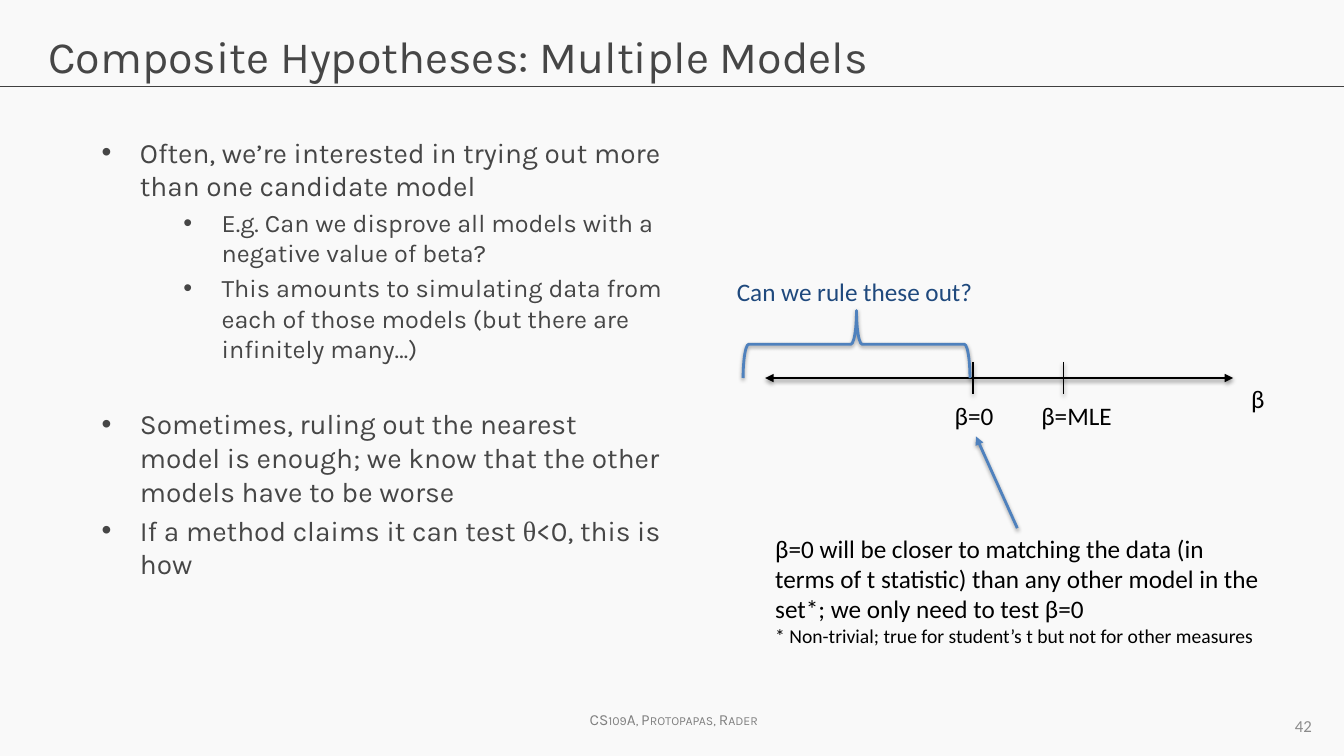
from lxml import etree
from pptx import Presentation
from pptx.dml.color import RGBColor
from pptx.enum.shapes import MSO_CONNECTOR, MSO_SHAPE
from pptx.enum.text import MSO_ANCHOR, PP_ALIGN
from pptx.oxml.ns import qn
from pptx.util import Inches, Pt

STRAIGHT = MSO_CONNECTOR.STRAIGHT
BRACE = MSO_SHAPE.RIGHT_BRACE
TOP, MIDDLE = MSO_ANCHOR.TOP, MSO_ANCHOR.MIDDLE
LEFT, RIGHT = PP_ALIGN.LEFT, PP_ALIGN.RIGHT

COLORS = {
    "background": "F9F9F9", "rule": "404040", "heading": "464646",
    "footer": "808080", "number": "8C8C8C", "ink": "000000",
    "blue": "4F81BD", "navy": "1F497D",
}


def color(name):
    return RGBColor.from_string(COLORS[name])


class SlideBuilder:
    heading_font = "Karla"
    label_font = "Calibri"

    def __init__(self, prs):
        self.s = prs.slides.add_slide(prs.slide_layouts[6])
        fill = self.s.background.fill
        fill.solid()
        fill.fore_color.rgb = color("background")

    def style(self, r, size, ink, font):
        r.font.size = Pt(size)
        r.font.name = font
        r.font.color.rgb = color(ink)

    def frame(self, x, y, w, h, anchor=TOP):
        tf = self.s.shapes.add_textbox(Inches(x), Inches(y), Inches(w), Inches(h)).text_frame
        tf.word_wrap = True
        tf.vertical_anchor = anchor
        return tf

    def text(self, x, y, w, h, lines, ink="ink", font=label_font, align=LEFT, anchor=TOP):
        tf = self.frame(x, y, w, h, anchor)
        tf.text = "\n".join(line for line, size in lines)
        for p, (line, size) in zip(tf.paragraphs, lines):
            p.alignment = align
            self.style(p.runs[0], size, ink, font)
        return tf

    def bullets(self, x, y, w, h, items):
        tf = self.frame(x, y, w, h)
        for i, (indent, size, before, parts) in enumerate(items):
            p = tf.add_paragraph() if i else tf.paragraphs[0]
            pPr = p._p.get_or_add_pPr()
            pPr.set("marL", str(Inches(indent)))
            pPr.set("indent", str(Inches(-0.38)))
            etree.SubElement(pPr, qn("a:buFont"), typeface="Arial")
            etree.SubElement(pPr, qn("a:buChar"), char="•")
            if i:
                p.space_before = Pt(before)
            for part, font in parts:
                r = p.add_run()
                r.text = part
                self.style(r, size, "heading", font)

    def effects(self, shape, shadow=True):
        effects = etree.SubElement(shape._element.spPr, qn("a:effectLst"))
        if shadow:
            outer = etree.SubElement(effects, qn("a:outerShdw"), blurRad=str(Pt(3.1)),
                                     dist=str(Pt(1.6)), dir="5400000", rotWithShape="0")
            black = etree.SubElement(outer, qn("a:srgbClr"), val=COLORS["ink"])
            etree.SubElement(black, qn("a:alpha"), val="38000")

    def line(self, x1, y1, x2, y2, ink="ink", width=1, arrows=(), shadow=True):
        s = self.s.shapes.add_connector(STRAIGHT, Inches(x1), Inches(y1), Inches(x2), Inches(y2))
        s.line.color.rgb = color(ink)
        s.line.width = Pt(width)
        for end in arrows:
            etree.SubElement(s.line._get_or_add_ln(), qn(f"a:{end}"), type="triangle")
        self.effects(s, shadow)

    def brace(self, x, y, w, h, rotation):
        s = self.s.shapes.add_shape(BRACE, Inches(x), Inches(y), Inches(w), Inches(h))
        s.rotation = rotation
        s.fill.background()
        s.line.color.rgb = color("blue")
        s.line.width = Pt(2)
        self.effects(s)


def main():
    prs = Presentation()
    prs.slide_width, prs.slide_height = Inches(13.33), Inches(7.5)
    b = SlideBuilder(prs)
    karla = b.heading_font

    b.line(0, 0.86, 13.33, 0.86, "rule", 0.75, shadow=False)
    footer = b.text(5.75, 7, 1.97, 0.29, [("CS109A, Protopapas, Rader", 11)], "footer", karla)
    footer.paragraphs[0].runs[0].font._element.set("cap", "small")
    b.text(0.38, 0.24, 12.57, 0.84, [("Composite Hypotheses: Multiple Models", 32)],
           "heading", karla)
    b.text(10, 7, 3.11, 0.4, [("42", 12)], "number", align=RIGHT, anchor=MIDDLE)

    b.bullets(0.91, 1.29, 5.76, 5.49, [
        (0.38, 20, 0, [("Often, we’re interested in trying out more than one candidate model", karla)]),
        (1.19, 18, 3.6, [("E.g. Can we disprove all models with a negative value of beta?", karla)]),
        (1.19, 18, 3.6, [("This amounts to simulating data from each of those models "
                          "(but there are infinitely many…)", karla)]),
        (0.38, 20, 31, [("Sometimes, ruling out the nearest model is enough; "
                         "we know that the other models have to be worse", karla)]),
        (0.38, 20, 4, [("If a method claims it can test ", karla), ("θ", "Times New Roman"),
                       ("<0, this is how", karla)]),
    ])

    b.line(7.59, 3.75, 12.23, 3.75, width=2, arrows=("headEnd", "tailEnd"))
    for tick in (9.65, 10.55):
        b.line(tick, 3.59, tick, 3.91)
    for x, y, w, label in ((12.31, 3.75, 0.46, "β"), (10.23, 3.92, 1.02, "β=MLE"),
                           (9.37, 3.92, 0.63, "β=0")):
        b.text(x, y, w, 0.4, [(label, 18)])

    b.brace(8.16, 2.29, 0.67, 2.25, 270)
    b.text(7.21, 2.69, 2.56, 0.4, [("Can we rule these out?", 18)], "navy")
    b.line(10.09, 5.24, 9.68, 4.33, "blue", 2, ("tailEnd",))
    b.text(7.59, 5.24, 5, 1.25, [
        ("β=0 will be closer to matching the data (in terms of t statistic) than any other "
         "model in the set*; we only need to test β=0", 18),
        ("* Non-trivial; true for student’s t but not for other measures", 14),
    ])

    prs.save("out.pptx")


if __name__ == "__main__":
    main()
